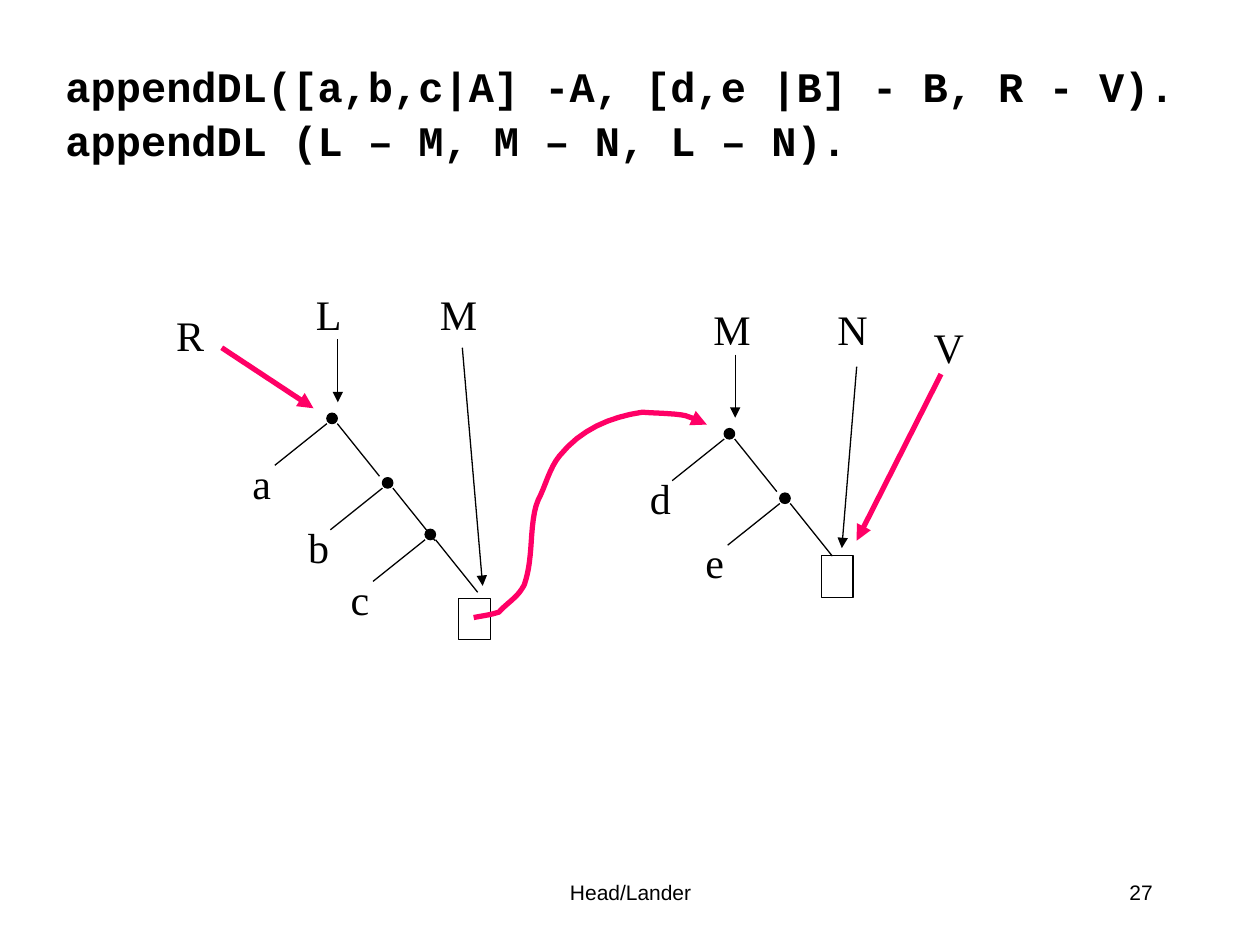
from lxml import etree
from pptx import Presentation
from pptx.dml.color import RGBColor
from pptx.enum.shapes import MSO_CONNECTOR, MSO_SHAPE
from pptx.enum.text import MSO_ANCHOR, PP_ALIGN
from pptx.oxml.ns import qn
from pptx.util import Cm, Pt

COLORS = {"ink": "000000", "hot": "FF0066"}
DOT = 0.21
STEPS = [(0, 0), (1.12, 1.3), (1.98, 2.34)]  # dots down the spine of a list

# Bezier curve in cm: start, then two controls and an end for each piece
START = (9.55, 12.45)
CURVE = [
    [(9.7, 12.42), (9.88, 12.4), (10.06, 12.34)],
    [(10.16, 12.22), (10.29, 12.14), (10.41, 12.01)],
    [(10.49, 11.94), (10.57, 11.79), (10.57, 11.79)],
    [(10.64, 11.58), (10.67, 11.4), (10.69, 11.18)],
    [(10.72, 10.92), (10.72, 10.36), (10.85, 10.08)],
    [(11, 9.8), (11.07, 9.45), (11.28, 9.19)],
    [(11.71, 8.66), (12.29, 8.41), (12.95, 8.31)],
    [(13.13, 8.33), (13.59, 8.33), (13.82, 8.38)],
    [(13.89, 8.41), (13.97, 8.43), (14.05, 8.46)],
    [(14.07, 8.46), (14.15, 8.48), (14.15, 8.48)],
    [(14.2, 8.51), (14.25, 8.56), (14.25, 8.56)],
]


def rgb(name):
    return RGBColor.from_string(COLORS[name])


def text(slide, box, words, size=24, font="Times New Roman", bold=False,
         align=PP_ALIGN.LEFT, anchor=MSO_ANCHOR.TOP, space=1.0):
    frame = slide.shapes.add_textbox(*map(Cm, box)).text_frame
    frame.word_wrap = True
    frame.vertical_anchor = anchor
    frame.text = words
    par = frame.paragraphs[0]
    par.alignment = align
    par.line_spacing = space
    par.font.size = Pt(size)
    par.font.name = font
    par.font.bold = bold
    par.font.color.rgb = rgb("ink")


def stroke(shape, color="ink", width=0.75, arrow=False):
    shape.line.color.rgb = rgb(color)
    shape.line.width = Pt(width)
    if arrow:
        ln = shape.line._get_or_add_ln()
        etree.SubElement(ln, qn("a:tailEnd"), type="triangle")


def line(slide, start, end, **style):
    link = slide.shapes.add_connector(
        MSO_CONNECTOR.STRAIGHT, *map(Cm, (*start, *end)))
    stroke(link, **style)
    etree.SubElement(link._element.spPr, qn("a:effectLst"))


def mark(slide, kind, box, solid):
    shape = slide.shapes.add_shape(kind, *map(Cm, box))
    shape.shadow.inherit = False
    if solid:
        shape.fill.solid()
        shape.fill.fore_color.rgb = rgb("ink")
    else:
        shape.fill.background()
    stroke(shape)


def node(slide, x, y, name):
    """A dot with a leaf on the left and a link to the right."""
    mark(slide, MSO_SHAPE.OVAL, (x, y, DOT, DOT), True)
    line(slide, (x, y + DOT), (x - 1.05, y + 1.05))
    line(slide, (x + DOT, y + DOT), (x + 1.06, y + 1.27))
    text(slide, (x - 1.75, y + 0.76, 0.9, 1.27), name)


def tree(slide, x, y, heads, leaves, hole, start, end):
    """A list with two named pointers; x, y is its first dot."""
    for name, (dx, dy) in zip(leaves, STEPS):
        node(slide, x + dx, y + dy, name)
    for name, dx in zip(heads, (-0.47, 2.03)):
        text(slide, (x + dx, y - 2.64, 1.2, 1.27), name)
    line(slide, (x + 0.22, y - 1.49), (x + 0.22, y - 0.22), arrow=True)

    # Open end of the list and the pointer to it
    mark(slide, MSO_SHAPE.RECTANGLE,
         (x + hole[0], y + hole[1], 0.64, 0.84), False)
    line(slide, (x + start[0], y + start[1]), (x + end[0], y + end[1]),
         arrow=True)


def trace(start, pieces, count=8):
    """Points along a chain of cubic Bezier pieces."""
    points = [start]
    for one, two, last in pieces:
        first = points[-1]
        for step in range(1, count + 1):
            t = step / count
            u = 1 - t
            points.append(tuple(
                u**3 * a + 3 * u * u * t * b + 3 * u * t * t * c + t**3 * d
                for a, b, c, d in zip(first, one, two, last)))
    return points


def result(slide):
    """Pink pointers that join the two lists."""
    hot = dict(color="hot", width=3, arrow=True)
    text(slide, (3.3, 6.12, 1.3, 1.27), "R")
    text(slide, (18.57, 6.35, 1.3, 1.27), "V")
    line(slide, (4.47, 7.01), (6.32, 8.23), **hot)
    line(slide, (18.97, 7.54), (17.27, 10.9), **hot)

    points = [(Cm(x), Cm(y)) for x, y in trace(START, CURVE)]
    pen = slide.shapes.build_freeform(*points[0])
    pen.add_line_segments(points[1:], close=False)
    curve = pen.convert_to_shape()
    curve.shadow.inherit = False
    curve.fill.background()
    stroke(curve, **hot)


def footer(slide, y):
    small = dict(size=12, font="Arial", anchor=MSO_ANCHOR.MIDDLE)
    text(slide, (8.69, y, 8.05, 1.27), "Head/Lander",
         align=PP_ALIGN.CENTER, **small)
    text(slide, (18.21, y, 5.28, 1.27), "27", align=PP_ALIGN.RIGHT, **small)


def main():
    deck = Presentation()
    deck.slide_width, deck.slide_height = Cm(25.4), Cm(19.05)
    slide = deck.slides.add_slide(deck.slide_layouts[6])

    # Title
    text(slide, (1.07, 1.07, 23.7, 2.34),
         "appendDL([a,b,c|A] -A, [d,e |B] - B, R - V).\v"
         "appendDL (L – M, M – N, L – N).",
         font="Courier New", bold=True, anchor=MSO_ANCHOR.MIDDLE, space=1.07)

    # Both lists, then the result of joining them
    tree(slide, 6.59, 8.33, "LM", "abc",
         hole=(2.66, 3.73), start=(2.73, -1.32), end=(3.14, 3.48))
    tree(slide, 14.6, 8.64, "MN", "de",
         hole=(1.96, 2.56), start=(2.67, -1.25), end=(2.37, 2.41))
    result(slide)
    footer(slide, 17.35)
    deck.save("out.pptx")


if __name__ == "__main__":
    main()
